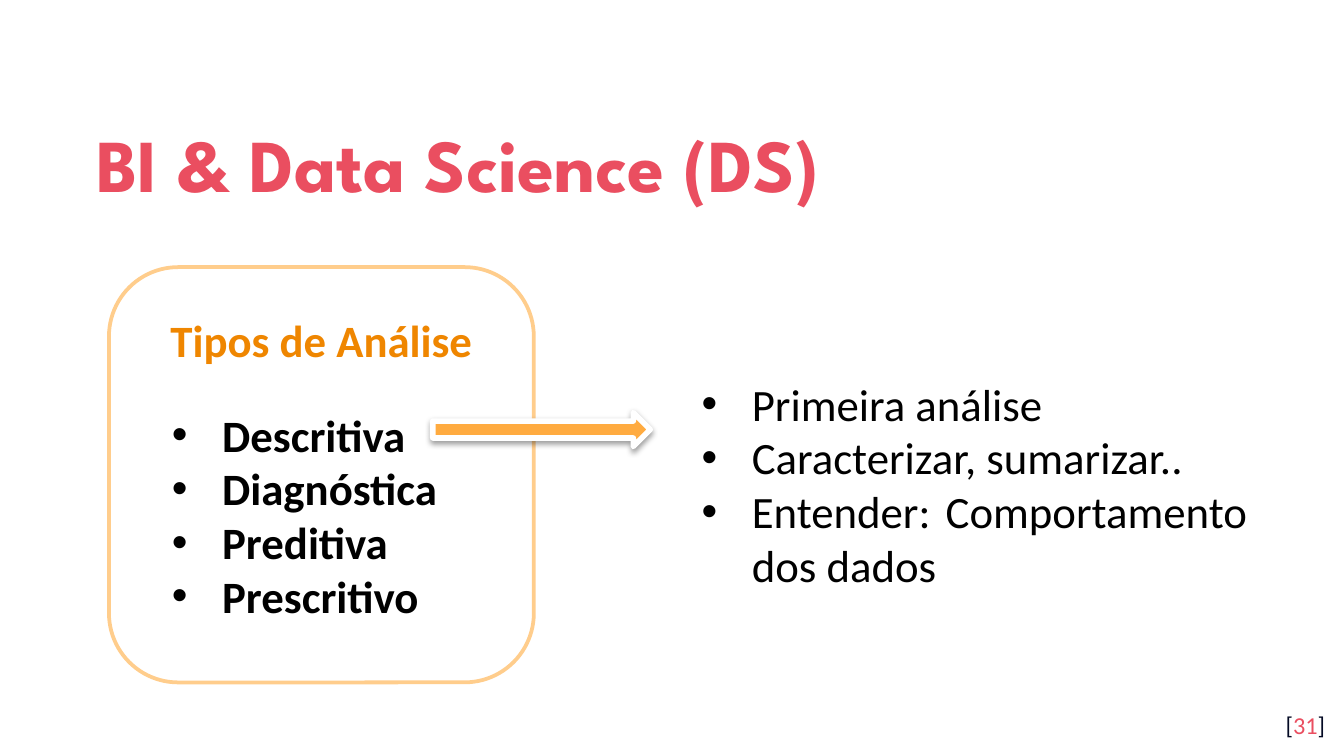
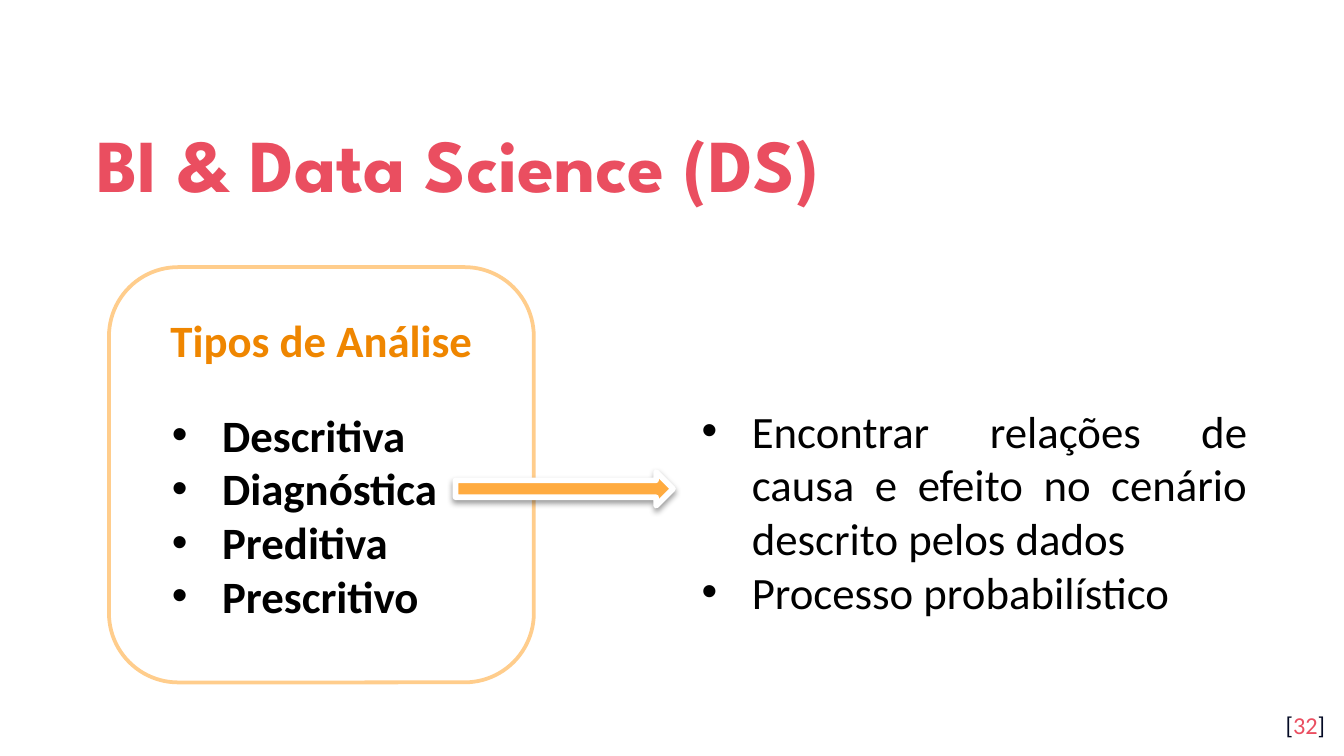
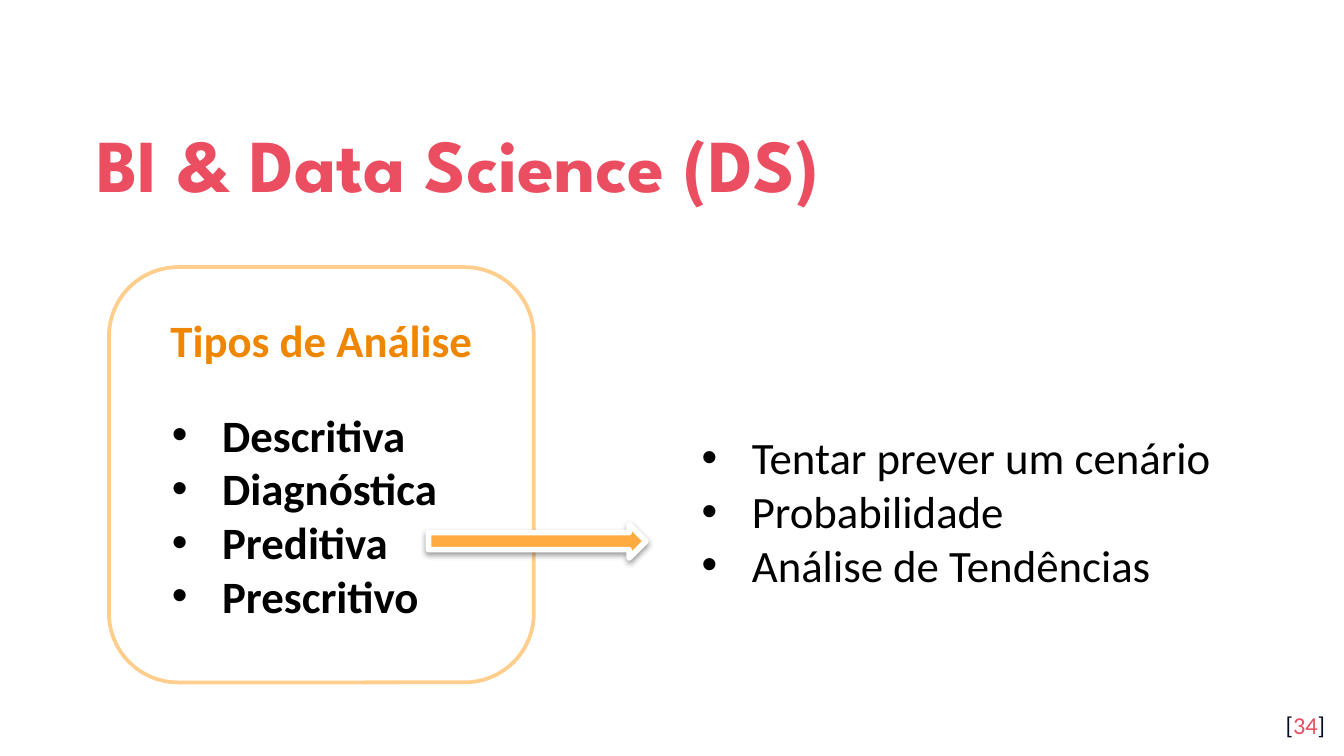
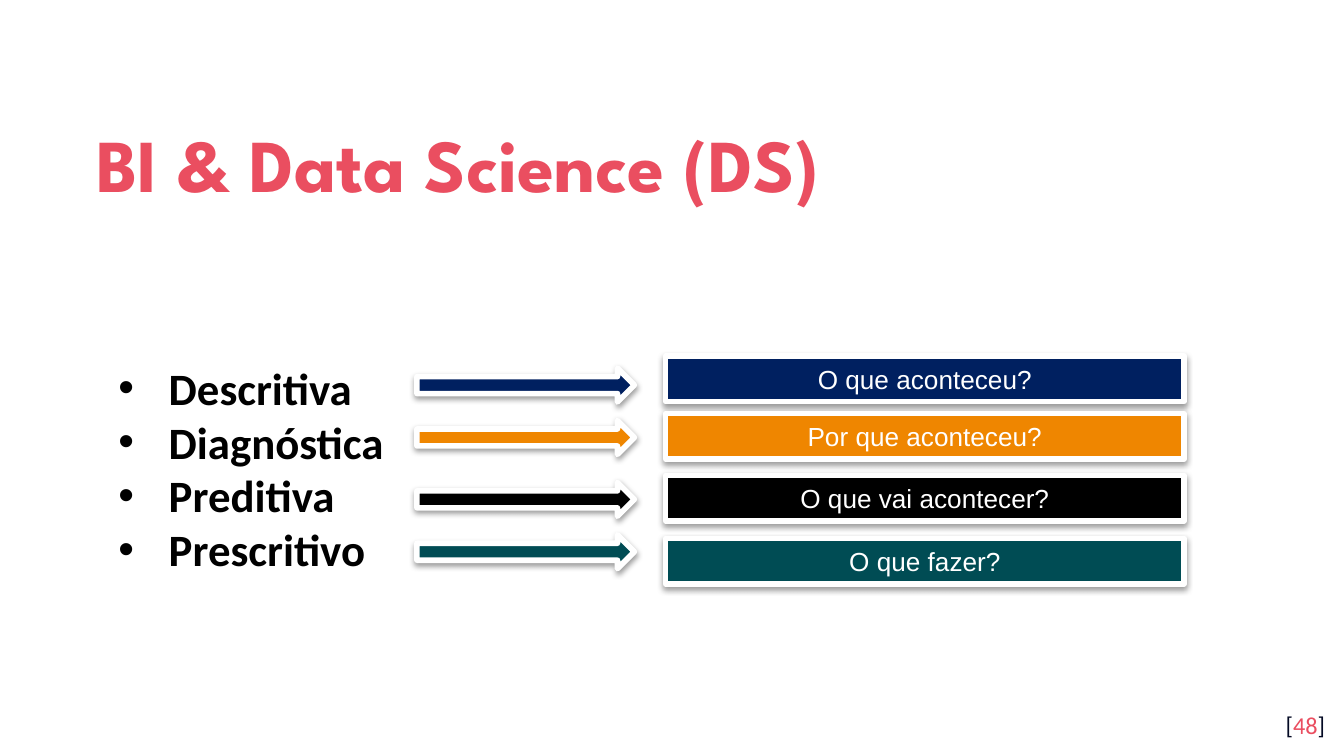
from collections import namedtuple

from lxml import etree
from pptx import Presentation
from pptx import util as u
from pptx.dml.color import RGBColor
from pptx.enum import shapes, text
from pptx.oxml import ns

Box = namedtuple("Box", "x y w h")

COLORS = {
    "title": "EA4E60", "ink": "040A24", "black": "000000", "white": "FFFFFF",
    "orange": "EF8600", "amber": "FFAB40", "peach": "FFCD8C",
    "navy": "002060", "teal": "004C54",
}
TITLE_FONT = {"name": "League Spartan", "size": u.Pt(40), "bold": True}
NUMBER_FONT = {"name": "Calibri", "size": u.Pt(13)}
BODY_FONT = {"name": "Calibri", "size": u.Pt(24)}
STRONG_FONT = {**BODY_FONT, "bold": True}
LABEL_FONT = {"name": "Arial", "size": u.Pt(14)}

SLIDE = Box(0, 0, 25.4, 14.29)
TITLE = Box(1.57, 1.78, 22.28, 2.34)
NUMBER = Box(23.77, 13.18, 1.52, 1.09)
PANEL = Box(2.06, 5.05, 8.03, 7.85)
DETAILS = Box(12.8, 6.58, 11.02, 6.15)
SUMMARY = Box(1.78, 6.17, 20.6, 5.36)
ARROW_W, ARROW_H = 4.11, 0.64
INSET = 0.25
LINE_H = 1.02

TYPES = ["Descritiva", "Diagnóstica", "Preditiva", "Prescritivo"]

# slide number, arrow left and top, details, spare room under the details
TYPE_SLIDES = [
    (31, 8.18, 7.8, ["Primeira análise", "Caracterizar, sumarizar..",
                     "Entender: Comportamento dos dados"], LINE_H),
    (32, 8.61, 8.92, ["Encontrar relações de causa e efeito no cenário "
                      "descrito pelos dados", "Processo probabilístico"], 0),
    (34, 8.1, 9.91, ["Tentar prever um cenário", "Probabilidade",
                     "Análise de Tendências"], 0),
]

# question, colour, arrow and label tops within the summary
QUESTIONS = [
    ("O que aconteceu?", "navy", 0.79, 0.56),
    ("Por que aconteceu?", "orange", 1.78, 1.65),
    ("O que vai acontecer?", "black", 2.95, 2.82),
    ("O que fazer?", "teal", 3.94, 4.01),
]


def rgb(name):
    return RGBColor.from_string(COLORS[name])


def set_attrs(obj, fmt):
    for key, value in fmt.items():
        setattr(obj, key, value)


def cm(box):
    return [u.Cm(v) for v in box]


def sub(parent, tag, **attrs):
    return etree.SubElement(parent, ns.qn(tag), attrs)


def add_run(p, words, font, color):
    r = p.add_run()
    r.text = words
    set_attrs(r.font, font)
    r.font.color.rgb = rgb(color)


def add_textbox(slide, box, anchor=text.MSO_ANCHOR.MIDDLE, spare=0):
    """Add an empty wrapped text box, with spare room at its bottom."""
    tf = slide.shapes.add_textbox(*cm(box)).text_frame
    inset = u.Cm(INSET)
    set_attrs(tf, {"word_wrap": True, "vertical_anchor": anchor,
                   "margin_left": inset, "margin_right": inset,
                   "margin_top": inset, "margin_bottom": u.Cm(INSET + spare)})
    return tf


def add_bullets(slide, box, items, font, spare=0):
    tf = add_textbox(slide, box, spare=spare)
    for i, item in enumerate(items):
        p = tf.add_paragraph() if i else tf.paragraphs[0]
        p.alignment = text.PP_ALIGN.JUSTIFY
        pPr = p._p.get_or_add_pPr()
        pPr.set("marL", str(u.Cm(1.16)))
        pPr.set("indent", str(u.Cm(-0.95)))
        sub(sub(pPr, "a:buClr"), "a:srgbClr", val=COLORS["black"])
        sub(pPr, "a:buFont", typeface="Arial")
        sub(pPr, "a:buChar", char="•")
        add_run(p, item, font, "black")


def add_raised(slide, kind, box, color):
    """Add a filled shape with a white edge and a soft shadow below."""
    sp = slide.shapes.add_shape(kind, *cm(box))
    sp.fill.solid()
    sp.fill.fore_color.rgb = rgb(color)
    sp.line.color.rgb = rgb("white")
    sp.line.width = u.Pt(3)
    sp.shadow.inherit = False
    effects = sp._element.spPr.find(ns.qn("a:effectLst"))
    shadow = sub(effects, "a:outerShdw", blurRad="40000", dist="20000",
                 dir="5400000", rotWithShape="0")
    sub(sub(shadow, "a:srgbClr", val=COLORS["black"]), "a:alpha", val="38000")
    return sp


def add_arrow(slide, x, y, color):
    add_raised(slide, shapes.MSO_SHAPE.RIGHT_ARROW,
               Box(x, y, ARROW_W, ARROW_H), color)


def add_label(slide, box, words, color):
    tf = add_raised(slide, shapes.MSO_SHAPE.RECTANGLE, box, color).text_frame
    tf.vertical_anchor = text.MSO_ANCHOR.MIDDLE
    p = tf.paragraphs[0]
    p.alignment = text.PP_ALIGN.CENTER
    add_run(p, words, LABEL_FONT, "white")


def add_base_slide(prs, number):
    """Add a slide with the shared title and its bracketed number."""
    slide = prs.slides.add_slide(prs.slide_layouts[6])
    p = add_textbox(slide, TITLE).paragraphs[0]
    p.line_spacing = 1.15
    add_run(p, "BI & Data Science (DS)", TITLE_FONT, "title")

    p = add_textbox(slide, NUMBER, text.MSO_ANCHOR.TOP).paragraphs[0]
    p.alignment = text.PP_ALIGN.RIGHT
    for words, color in (("[", "ink"), (str(number), "title"), ("]", "ink")):
        add_run(p, words, NUMBER_FONT, color)
    return slide


def add_types_panel(slide, box):
    add_bullets(slide, Box(box.x + 0.73, box.y + 1.02, 7.85, 7.32),
                TYPES, STRONG_FONT)
    sp = slide.shapes.add_shape(shapes.MSO_SHAPE.ROUNDED_RECTANGLE, *cm(box))
    sp.fill.background()
    sp.line.color.rgb = rgb("peach")
    sp.line.width = u.Pt(2)
    sp.shadow.inherit = False
    set_attrs(sp.text_frame, {"vertical_anchor": text.MSO_ANCHOR.TOP,
                              "margin_top": u.Cm(0.47)})
    p = sp.text_frame.paragraphs[0]
    p.alignment = text.PP_ALIGN.CENTER
    add_run(p, "Tipos de Análise", STRONG_FONT, "orange")


def add_summary(slide, box):
    """Pair each type of analysis with the question it answers."""
    add_bullets(slide, Box(box.x, box.y, 7.85, box.h), TYPES, STRONG_FONT)
    for _, color, arrow_y, _ in QUESTIONS:
        add_arrow(slide, box.x + 6.1, box.y + arrow_y, color)
    for words, color, _, label_y in QUESTIONS:
        add_label(slide, Box(box.x + 10.8, box.y + label_y, 9.8, 0.86),
                  words, color)


def main():
    prs = Presentation()
    prs.slide_width, prs.slide_height = u.Cm(SLIDE.w), u.Cm(SLIDE.h)
    for number, arrow_x, arrow_y, details, spare in TYPE_SLIDES:
        slide = add_base_slide(prs, number)
        add_types_panel(slide, PANEL)
        add_bullets(slide, DETAILS, details, BODY_FONT, spare)
        add_arrow(slide, arrow_x, arrow_y, "amber")
    add_summary(add_base_slide(prs, 48), SUMMARY)
    prs.save("out.pptx")


if __name__ == "__main__":
    main()
